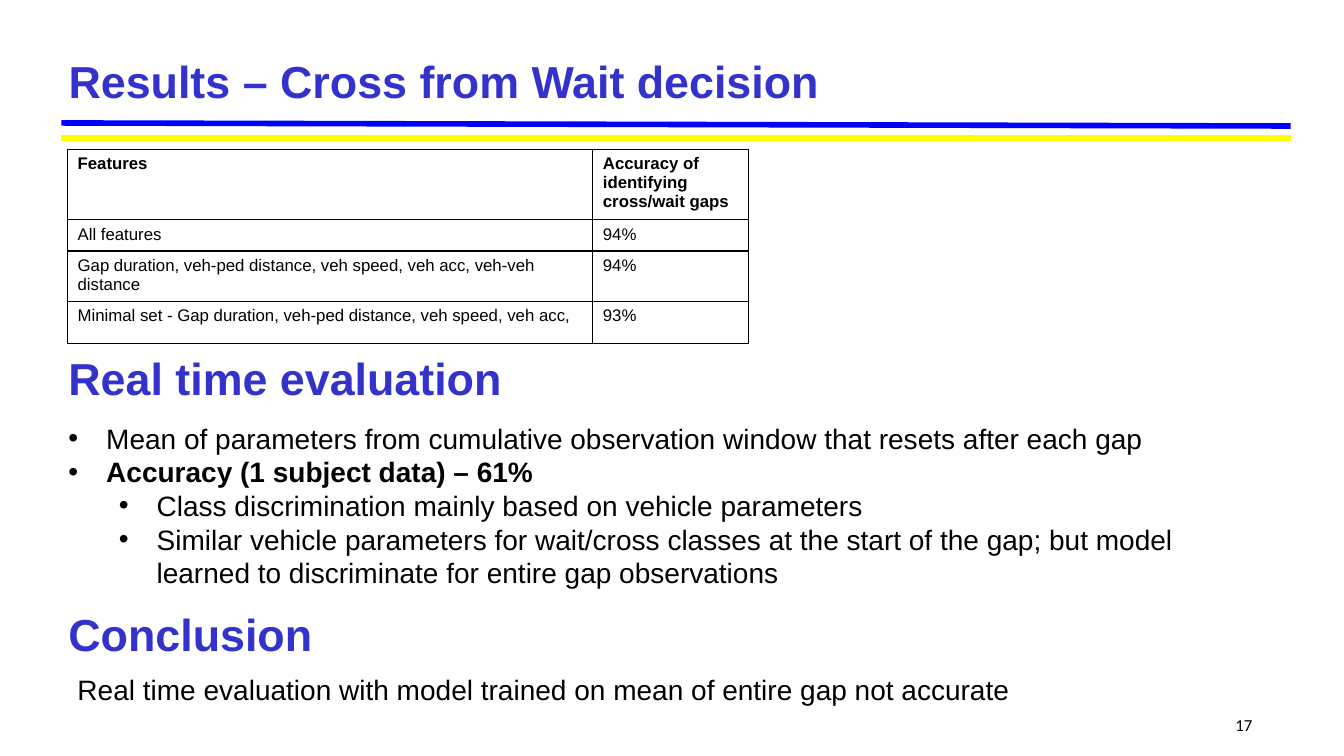
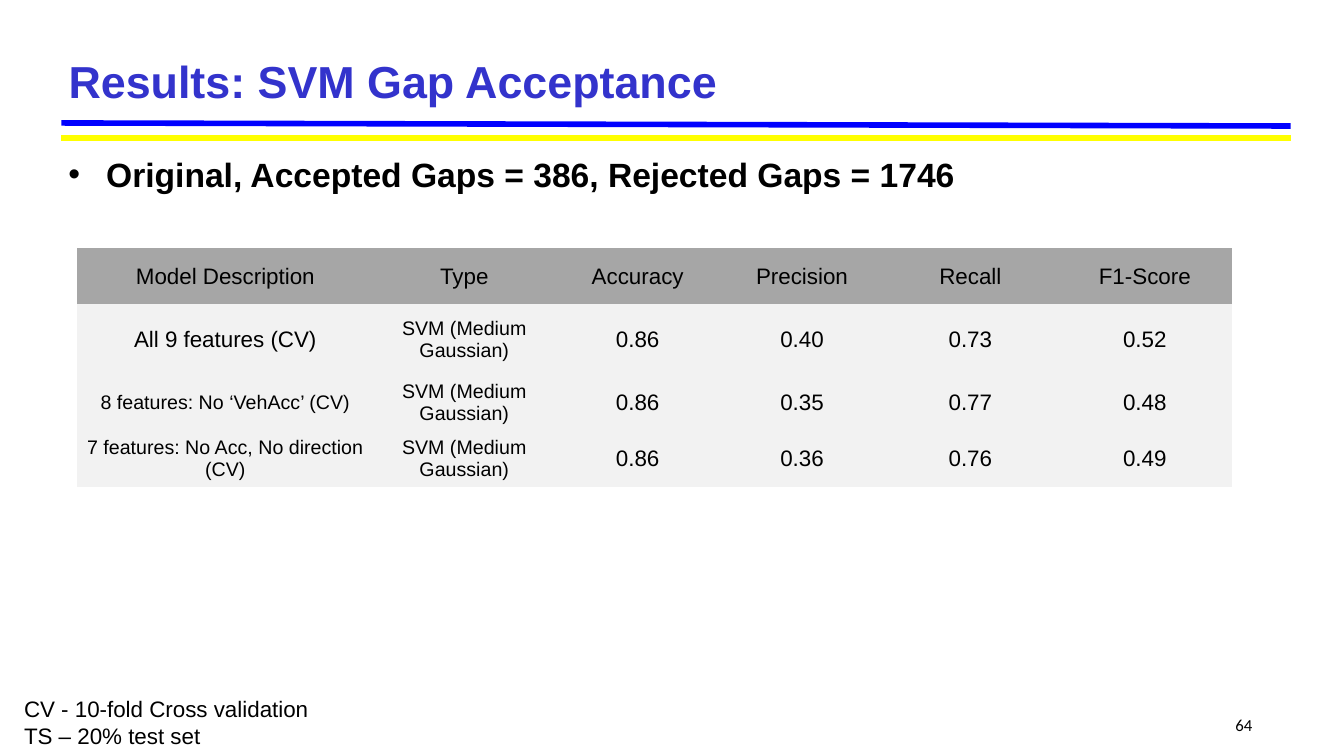
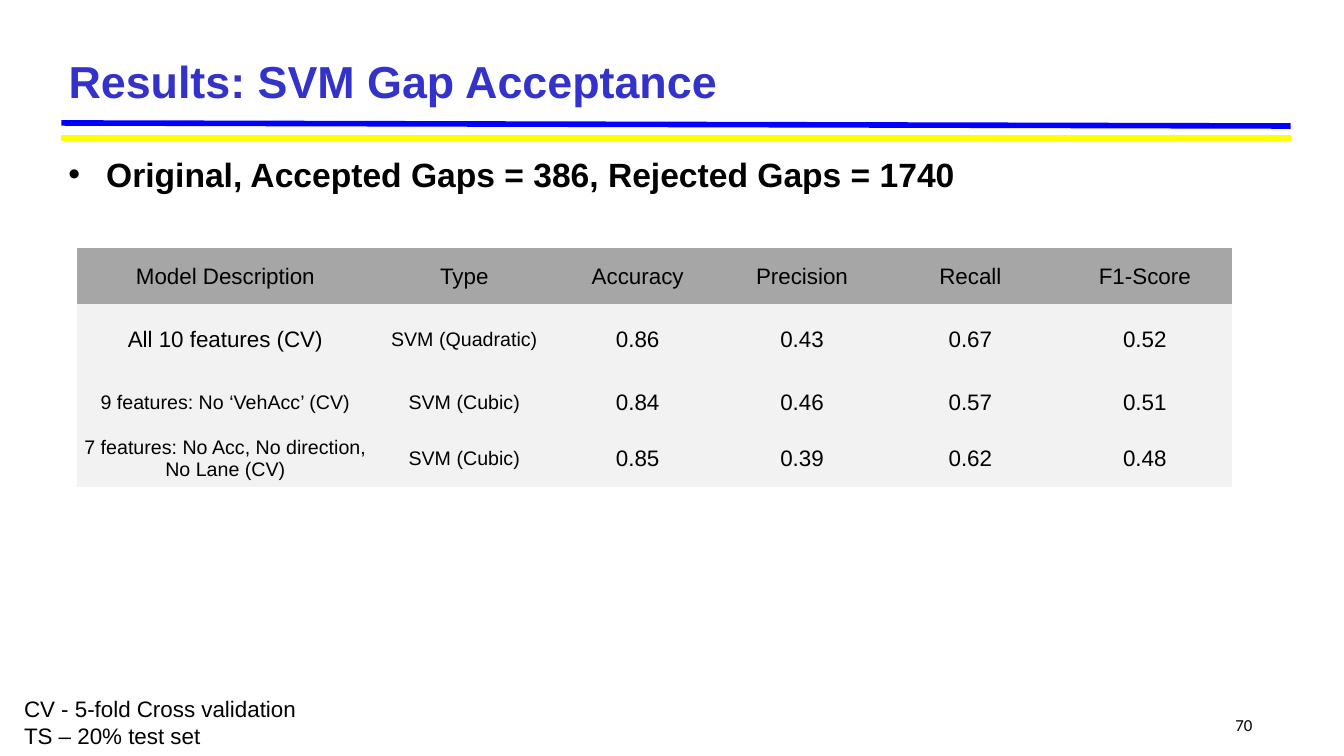
from lxml import etree
from pptx import Presentation
from pptx.dml.color import RGBColor
from pptx.enum.shapes import MSO_CONNECTOR
from pptx.enum.text import MSO_ANCHOR, MSO_AUTO_SIZE, PP_ALIGN
from pptx.oxml import parse_xml
from pptx.oxml.ns import nsdecls, qn
from pptx.util import Inches, Pt

STRAIGHT = MSO_CONNECTOR.STRAIGHT
TOP, MIDDLE = MSO_ANCHOR.TOP, MSO_ANCHOR.MIDDLE
LEFT, CENTER, RIGHT = PP_ALIGN.LEFT, PP_ALIGN.CENTER, PP_ALIGN.RIGHT
NO_FIT = MSO_AUTO_SIZE.NONE

C = {"title": "3333CC", "text": "000000", "blue": "0000FF", "yellow": "FFFF00",
     "head": "A6A6A6", "body": "F2F2F2"}
NO_STYLE = "{2D5ABB26-0587-4C30-8999-92F81FD0307C}"
BULLET_INDENT = 0.375

RULES = [("blue", 1.22, 1.25), ("yellow", 1.37, 1.37)]

ACCURACY = [
    ["Features", "Accuracy of identifying cross/wait gaps"],
    ["All features", "94%"],
    ["Gap duration, veh-ped distance, veh speed, veh acc, veh-veh distance", "94%"],
    ["Minimal set - Gap duration, veh-ped distance, veh speed, veh acc,", "93%"],
]
EVALUATION = [
    ("Mean of parameters from cumulative observation window that resets after each gap", False, 0),
    ("Accuracy (1 subject data) – 61%", True, 0),
    ("Class discrimination mainly based on vehicle parameters", False, 1),
    ("Similar vehicle parameters for wait/cross classes at the start of the gap; "
     "but model learned to discriminate for entire gap observations", False, 1),
]
SCORE_HEAD = ["Model Description", "Type", "Accuracy", "Precision", "Recall", "F1-Score"]
SVM_SLIDES = [
    ("64", 1746, 10, [
        ["All 9 features (CV)", "SVM (Medium Gaussian)", "0.86", "0.40", "0.73", "0.52"],
        ["8 features: No ‘VehAcc’ (CV)", "SVM (Medium Gaussian)", "0.86", "0.35", "0.77", "0.48"],
        ["7 features: No Acc, No direction (CV)", "SVM (Medium Gaussian)",
         "0.86", "0.36", "0.76", "0.49"],
    ]),
    ("70", 1740, 5, [
        ["All 10 features (CV)", "SVM (Quadratic)", "0.86", "0.43", "0.67", "0.52"],
        ["9 features: No ‘VehAcc’ (CV)", "SVM (Cubic)", "0.84", "0.46", "0.57", "0.51"],
        ["7 features: No Acc, No direction, No Lane (CV)", "SVM (Cubic)",
         "0.85", "0.39", "0.62", "0.48"],
    ]),
]


def write(tf, lines, size, color="text", anchor=TOP, align=LEFT, font="Arial"):
    tf.word_wrap = True
    tf.vertical_anchor = anchor
    for i, (text, bold, level) in enumerate(lines):
        p = tf.paragraphs[0] if i == 0 else tf.add_paragraph()
        p.alignment = align
        if level is not None:
            p.level = level
            pPr = p._p.get_or_add_pPr()
            pPr.set("marL", str(Inches(BULLET_INDENT + 0.5 * level)))
            pPr.set("indent", str(-Inches(BULLET_INDENT)))
            etree.SubElement(pPr, qn("a:buFont")).set("typeface", "Arial")
            etree.SubElement(pPr, qn("a:buChar")).set("char", "•")
        r = p.add_run()
        r.text = text
        r.font.name = font
        r.font.size = Pt(size)
        r.font.bold = bold
        r.font.color.rgb = RGBColor.from_string(C[color])


def add_plain_table(s, x, y, widths, heights):
    table = s.shapes.add_table(len(heights), len(widths), Inches(x), Inches(y),
                               Inches(sum(widths)), Inches(sum(heights))).table
    table.first_row = table.horz_banding = False
    table._tbl.tblPr.find(qn("a:tableStyleId")).text = NO_STYLE
    for col, width in zip(table.columns, widths):
        col.width = Inches(width)
    for row, height in zip(table.rows, heights):
        row.height = Inches(height)
    return table


prs = Presentation()
prs.slide_width = Inches(13.33)
prs.slide_height = Inches(7.5)

pages = [("Results – Cross from Wait decision", "17")]
pages += [("Results: SVM Gap Acceptance", number) for number, *_ in SVM_SLIDES]
for title, number in pages:
    s = prs.slides.add_slide(prs.slide_layouts[5])
    for color, y1, y2 in RULES:
        line = s.shapes.add_connector(STRAIGHT, Inches(0.61), Inches(y1), Inches(12.8), Inches(y2))
        line.line.color.rgb = RGBColor.from_string(C[color])
        line.line.width = Pt(4)
        etree.SubElement(line._element.spPr, qn("a:effectLst"))
    sp = s.shapes.title
    sp.left, sp.top, sp.width, sp.height = Inches(0.58), Inches(0.5), Inches(12.22), Inches(0.59)
    sp.text_frame.auto_size = NO_FIT
    write(sp.text_frame, [(title, True, None)], 32, "title", MIDDLE)
    sp = s.shapes.add_textbox(Inches(12.1), Inches(7.04), Inches(0.42), Inches(0.26))
    write(sp.text_frame, [(number, False, None)], 12, align=RIGHT, font="Calibri")

s = prs.slides[0]
table = add_plain_table(s, 0.67, 1.48, [5.21, 1.54], [0.66, 0.31, 0.48, 0.42])
for i, row in enumerate(ACCURACY):
    for j, text in enumerate(row):
        cell = table.cell(i, j)
        write(cell.text_frame, [(text, i == 0, None)], 12)
        tcPr = cell._tc.get_or_add_tcPr()
        for side in ("lnL", "lnR", "lnT", "lnB"):
            tcPr.append(parse_xml(
                f'<a:{side} {nsdecls("a")} w="{Pt(1)}"><a:solidFill>'
                f'<a:srgbClr val="{C["text"]}"/></a:solidFill></a:{side}>'))
        cell.fill.background()

for heading, y in [("Real time evaluation", 3.46), ("Conclusion", 6)]:
    sp = s.shapes.add_textbox(Inches(0.58), Inches(y), Inches(12.27), Inches(0.58))
    write(sp.text_frame, [(heading, True, None)], 32, "title", MIDDLE)
sp = s.shapes.add_textbox(Inches(0.58), Inches(4.13), Inches(11.94), Inches(1.78))
write(sp.text_frame, EVALUATION, 20)
sp = s.shapes.add_textbox(Inches(0.67), Inches(6.62), Inches(11.34), Inches(0.44))
write(sp.text_frame, [("Real time evaluation with model trained on mean of entire gap not accurate",
                       False, None)], 20)

for s, (number, rejected, folds, scores) in zip(list(prs.slides)[1:], SVM_SLIDES):
    sp = s.shapes.add_textbox(Inches(0.58), Inches(1.48), Inches(12.27), Inches(0.59))
    write(sp.text_frame,
          [(f"Original, Accepted Gaps = 386, Rejected Gaps = {rejected}", True, 0)], 24)
    table = add_plain_table(s, 0.76, 2.46, [2.95, 1.79, 1.65, 1.61, 1.73, 1.73],
                            [0.56, 0.69, 0.56, 0.56])
    for i, row in enumerate([SCORE_HEAD] + scores):
        for j, text in enumerate(row):
            cell = table.cell(i, j)
            cell.margin_left = cell.margin_right = cell.margin_top = Inches(0.01)
            cell.margin_bottom = 0
            cell.vertical_anchor = MIDDLE
            cell.fill.solid()
            cell.fill.fore_color.rgb = RGBColor.from_string(C["body" if i else "head"])
            small = (i > 0 and j == 1) or (i > 1 and j == 0)
            write(cell.text_frame, [(text, False, None)], 14 if small else 16,
                  anchor=MIDDLE, align=CENTER)
    sp = s.shapes.add_textbox(Inches(0.14), Inches(6.85), Inches(6.67), Inches(0.64))
    write(sp.text_frame, [(f"CV - {folds}-fold Cross validation", False, None),
                          ("TS – 20% test set", False, None)], 16)

prs.save("out.pptx")
